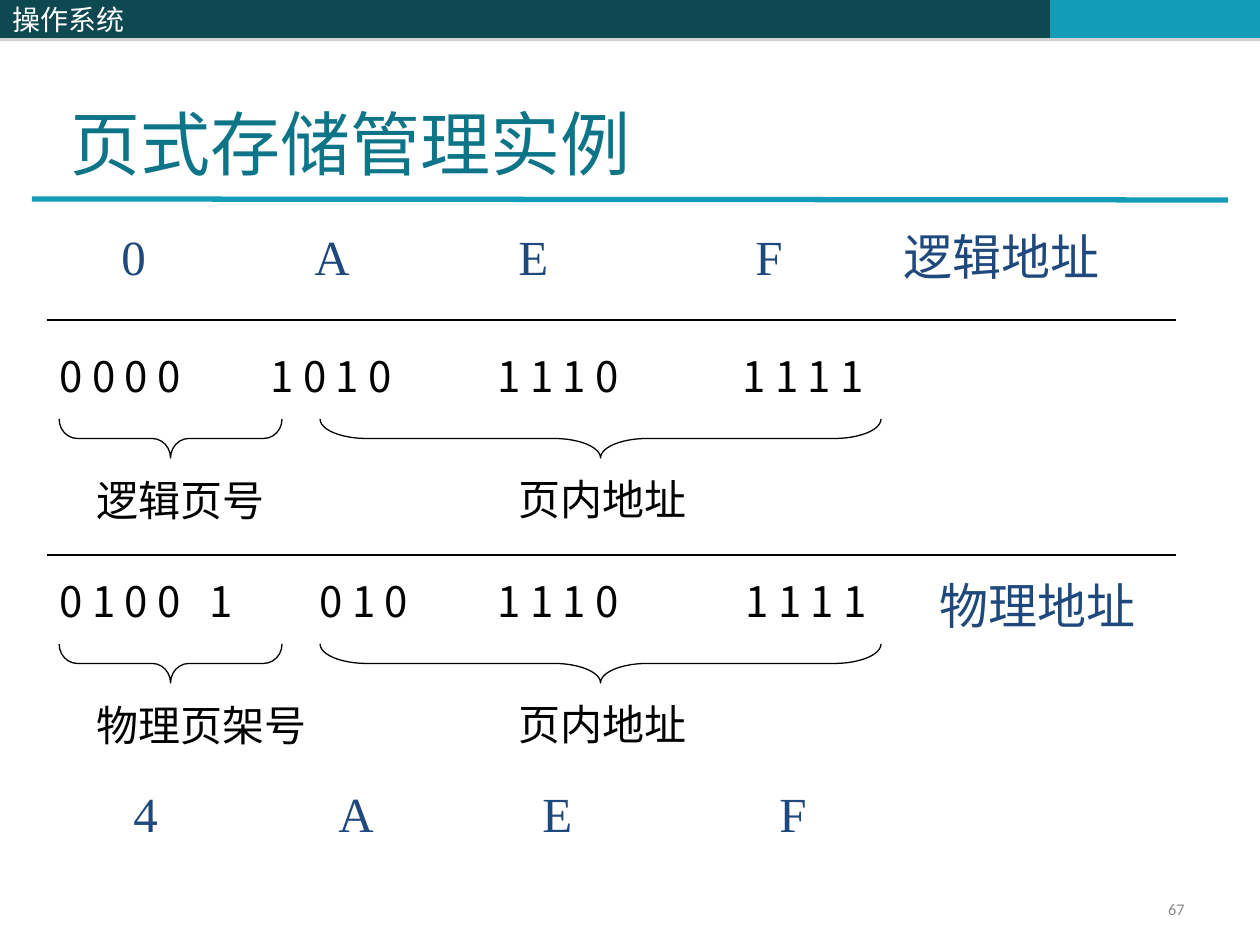
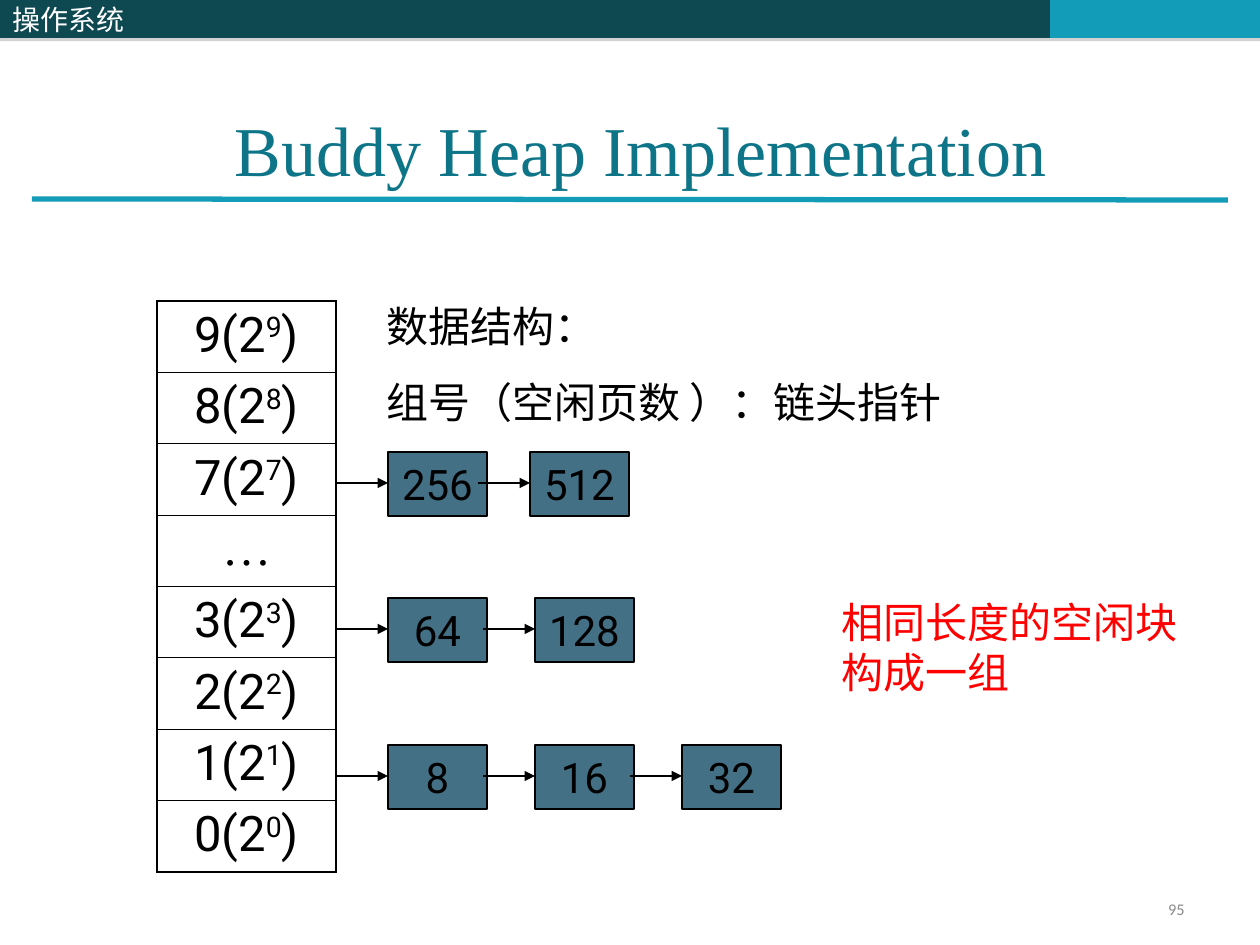
from lxml import etree
from pptx import Presentation
from pptx import util as u
from pptx.dml.color import RGBColor
from pptx.enum import shapes, text
from pptx.oxml import ns

PX = u.Inches(1) / 126
DARK, TEAL, TITLE, NAVY = "0E4851", "139CB7", "0E7589", "1F497D"
BLOCK, BLACK, WHITE, GREY, RED = "437085", "000000", "FFFFFF", "898989", "FF0000"
CJK, SERIF, SANS = "Noto Sans CJK SC", "Times New Roman", "Roboto"
LEFT, CENTER, RIGHT = text.PP_ALIGN.LEFT, text.PP_ALIGN.CENTER, text.PP_ALIGN.RIGHT
TOP, MIDDLE, BOTTOM = text.MSO_ANCHOR.TOP, text.MSO_ANCHOR.MIDDLE, text.MSO_ANCHOR.BOTTOM


def px(*lengths):
    return [round(length * PX) for length in lengths]


def rgb(color):
    return RGBColor.from_string(color)


def child(parent, tag, **attributes):
    element = etree.SubElement(parent, ns.qn(tag))
    for name, value in attributes.items():
        element.set(name, str(value))
    return element


def style(paragraph, size, color, font, align=LEFT):
    paragraph.alignment = align
    paragraph.font.size = u.Pt(size)
    paragraph.font.color.rgb = rgb(color)
    paragraph.font.name = font
    child(paragraph.font._element, "a:ea", typeface=CJK)


def write(shape, lines, size, color=BLACK, font=CJK, align=LEFT, anchor=TOP,
          wrap=True, gap=15, tabs=()):
    frame = shape.text_frame
    frame.word_wrap = wrap
    frame.auto_size = text.MSO_AUTO_SIZE.NONE
    frame.vertical_anchor = anchor
    frame.margin_left = frame.margin_right = u.Inches(0.1)
    frame.margin_top = frame.margin_bottom = u.Inches(0.05)
    for index, line in enumerate(lines):
        paragraph = frame.add_paragraph() if index else frame.paragraphs[0]
        paragraph.add_run().text = line
        if index:
            paragraph.space_before = u.Pt(gap)
        if tabs:
            stops = child(paragraph._p.get_or_add_pPr(), "a:tabLst")
            for tab in tabs:
                child(stops, "a:tab", pos=px(tab)[0], algn="l")
        style(paragraph, size, color, font, align)


def label(slide, box, line, size=24, **options):
    lines = [line] if isinstance(line, str) else line
    write(slide.shapes.add_textbox(*px(*box)), lines, size, **options)


def rectangle(slide, box, fill, line=None):
    shape = slide.shapes.add_shape(shapes.MSO_SHAPE.RECTANGLE, *px(*box))
    shape.shadow.inherit = False
    shape.fill.solid()
    shape.fill.fore_color.rgb = rgb(fill)
    if line:
        shape.line.color.rgb = rgb(line)
        shape.line.width = u.Pt(0.75)
    else:
        shape.line.fill.background()
    return shape


def rule(slide, start, end, color=BLACK, width=0.75, arrow=False):
    connector = slide.shapes.add_connector(
        shapes.MSO_CONNECTOR.STRAIGHT, *px(*start, *end))
    connector.line.color.rgb = rgb(color)
    connector.line.width = u.Pt(width)
    if arrow:
        child(connector.line._get_or_add_ln(), "a:tailEnd", type="triangle")
    child(connector._element.spPr, "a:effectLst")


def band(slide, box, fill):
    shape = rectangle(slide, box, fill)
    effects = shape._element.spPr.find(ns.qn("a:effectLst"))
    shadow = child(effects, "a:outerShdw", dist=u.Pt(1.8), dir=5400000,
                   algn="ctr", rotWithShape=0)
    child(child(shadow, "a:srgbClr", val="808080"), "a:alpha", val=35000)
    return shape


def framed_slide(presentation, title, title_box, number, align, anchor):
    """Add a slide with the header bands, title, title rule and page number."""
    slide = presentation.slides.add_slide(presentation.slide_layouts[5])
    band(slide, (514, 0, 536, 38), DARK)
    band(slide, (1050, 0, 210, 38), TEAL)
    rule(slide, (32, 199), (1228, 200), TEAL, 3)
    write(band(slide, (0, 0, 514, 38), DARK), ["操作系统"], 16, WHITE, anchor=MIDDLE)
    label(slide, (903, 892, 294, 34), number, 9.3, color=GREY, font="Calibri",
          align=RIGHT, anchor=MIDDLE)
    heading = slide.shapes.title
    heading.left, heading.top, heading.width, heading.height = px(*title_box)
    write(heading, [title], 40, TITLE, SERIF, align, anchor)
    return slide


def hex_row(slide, top, first, columns):
    """Place hex digits on tab stops; columns maps each text to its left edge."""
    lefts = [left for left, _ in columns]
    label(slide, (first - 13, top, 1091, 83), "\t".join(item for _, item in columns),
          28, color=NAVY, font=SERIF, tabs=[left - first for left in lefts[1:]])


def brace(slide, left, top, width, height, curve):
    middle_x, middle_y = left + width / 2, top + height / 2
    shape = slide.shapes.add_shape(
        shapes.MSO_SHAPE.RIGHT_BRACE,
        *px(middle_x - height / 2, middle_y - width / 2, height, width))
    shape.rotation = 90
    shape.adjustments[0] = curve
    shape.shadow.inherit = False
    shape.fill.background()
    shape.line.color.rgb = rgb(BLACK)
    shape.line.width = u.Pt(0.75)


def address_section(slide, top, bits, page_name):
    """Show one binary address, split by braces into page number and offset."""
    for left, digits in bits:
        label(slide, (left, top, 261, 63), digits, tabs=[150])
    brace(slide, 59, top + 75, 223, 39, 0.47)
    brace(slide, 320, top + 75, 561, 39, 1.2)
    label(slide, (84, top + 124, 273, 63), page_name)
    label(slide, (506, top + 123, 227, 63), "页内地址")


def paging_slide(presentation):
    slide = framed_slide(presentation, "页式存储管理实例", (58, 113, 1070, 78),
                         "67", LEFT, BOTTOM)
    hex_row(slide, 220, 122, [(122, "0"), (315, "A"), (519, "E"), (756, "F"),
                              (904, "逻辑地址")])
    for y in (320, 555):
        rule(slide, (47, y), (1176, y))
    address_section(slide, 344, [(47, "0 0 0 0"), (258, "1 0 1 0"),
                                 (485, "1 1 1 0"), (730, "1 1 1 1")], "逻辑页号")
    address_section(slide, 569, [(47, "0 1 0 0\t1"), (307, "0 1 0"),
                                 (485, "1 1 1 0"), (733, "1 1 1 1")], "物理页架号")
    label(slide, (927, 569, 272, 72), "物理地址", 28, color=NAVY, font=SANS)
    hex_row(slide, 777, 134, [(134, "4"), (339, "A"), (543, "E"), (780, "F")])


def set_borders(cell, widths):
    properties = cell._tc.get_or_add_tcPr()
    for side, width in zip("LRTB", widths):
        line = child(properties, f"a:ln{side}", w=u.Pt(width))
        child(child(line, "a:solidFill"), "a:srgbClr", val=BLACK)


def group_table(slide, box, groups):
    """List the groups, each as n(2ⁿ); None stands for the groups left out."""
    table = slide.shapes.add_table(len(groups), 1, *px(*box)).table
    table.first_row = table.horz_banding = False
    for row, group in enumerate(groups):
        cell = table.cell(row, 0)
        top = 0.45 if row else 1.08
        bottom = 0.45 if row < len(groups) - 1 else 1.08
        set_borders(cell, (1.08, 1.08, top, bottom))
        cell.fill.background()
        paragraph = cell.text_frame.paragraphs[0]
        parts = ["…"] if group is None else [f"{group}(2", str(group), ")"]
        for index, part in enumerate(parts):
            run = paragraph.add_run()
            run.text = part
            if index == 1:
                run.font._element.set("baseline", "30000")
        style(paragraph, 28, BLACK, SERIF if group is None else SANS, CENTER)


def free_chain(slide, left, top, step, pages):
    """Draw the linked free blocks, each with an arrow leading into it."""
    for index, page in enumerate(pages):
        x = left + index * step
        block = rectangle(slide, (x, top, 99, 64), BLOCK, BLACK)
        write(block, [page], 24, font=SANS, align=CENTER, anchor=MIDDLE, wrap=False)
    for index in range(len(pages)):
        x = left + index * step
        rule(slide, (x - 52, top + 31), (x, top + 31), arrow=True)


def buddy_slide(presentation):
    slide = framed_slide(presentation, "Buddy Heap Implementation",
                         (105, 76, 1071, 145), "95", CENTER, MIDDLE)
    group_table(slide, (157, 301, 179, 571), [9, 8, 7, None, 3, 2, 1, 0])
    label(slide, (374, 294, 766, 140), ["数据结构：", "组号（空闲页数 ）：链头指针"])
    free_chain(slide, 388, 452, 142, ["256", "512"])
    free_chain(slide, 388, 598, 147, ["64", "128"])
    free_chain(slide, 388, 745, 147, ["8", "16", "32"])
    label(slide, (829, 590, 368, 113), "相同长度的空闲块构成一组", color=RED)


def main():
    presentation = Presentation()
    presentation.slide_width, presentation.slide_height = px(1260, 945)
    paging_slide(presentation)
    buddy_slide(presentation)
    presentation.save("out.pptx")


if __name__ == "__main__":
    main()
